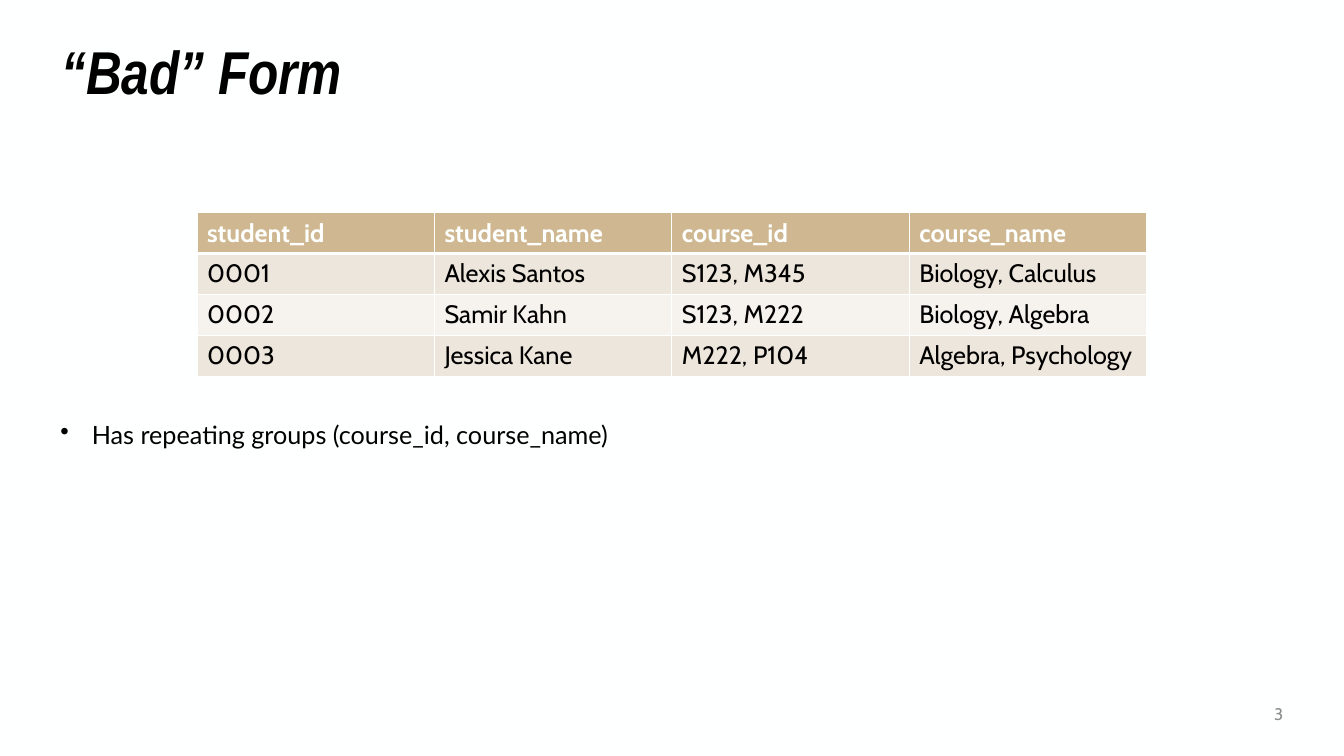
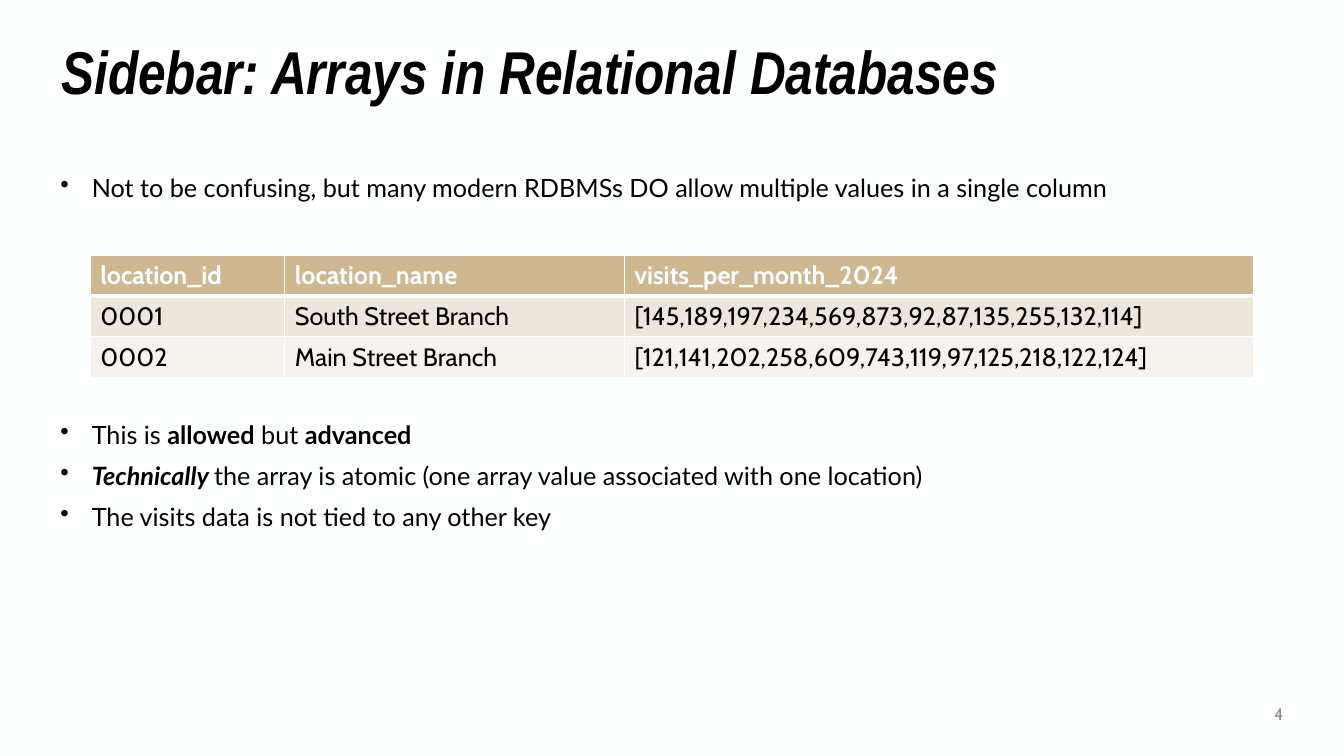
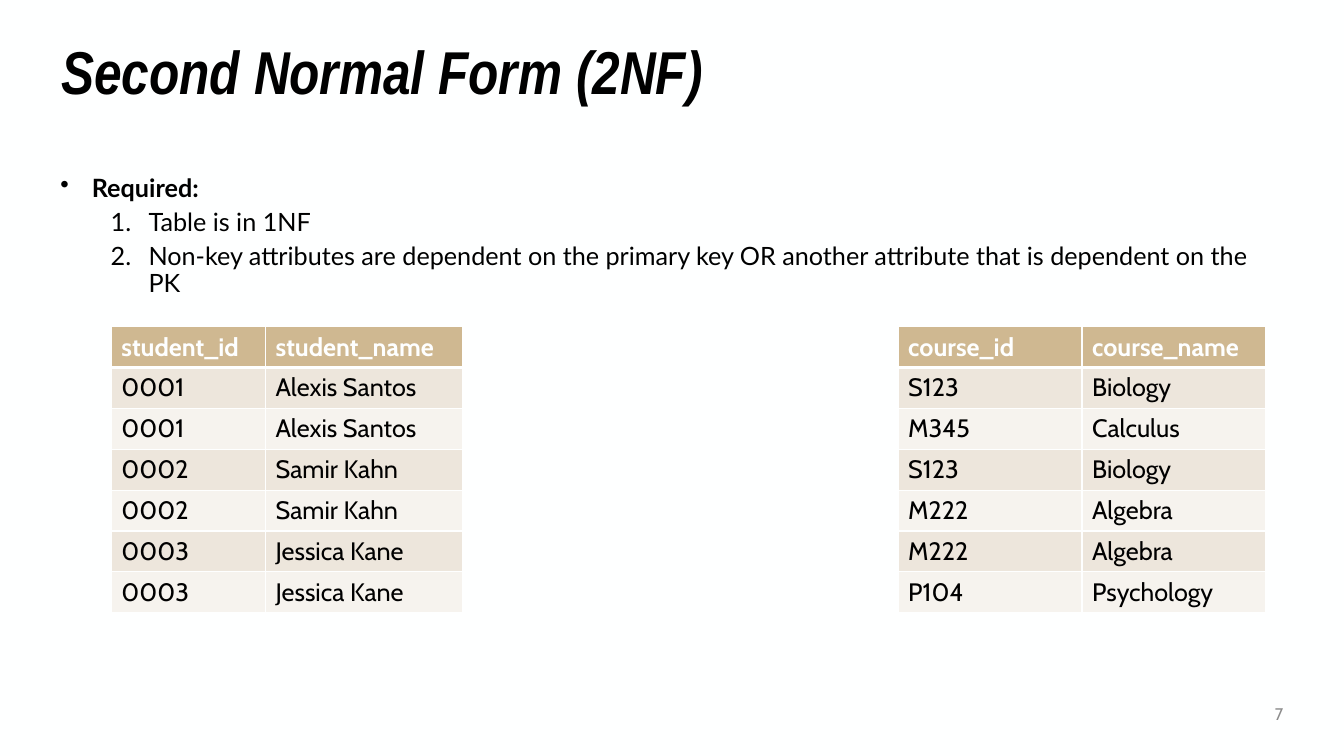
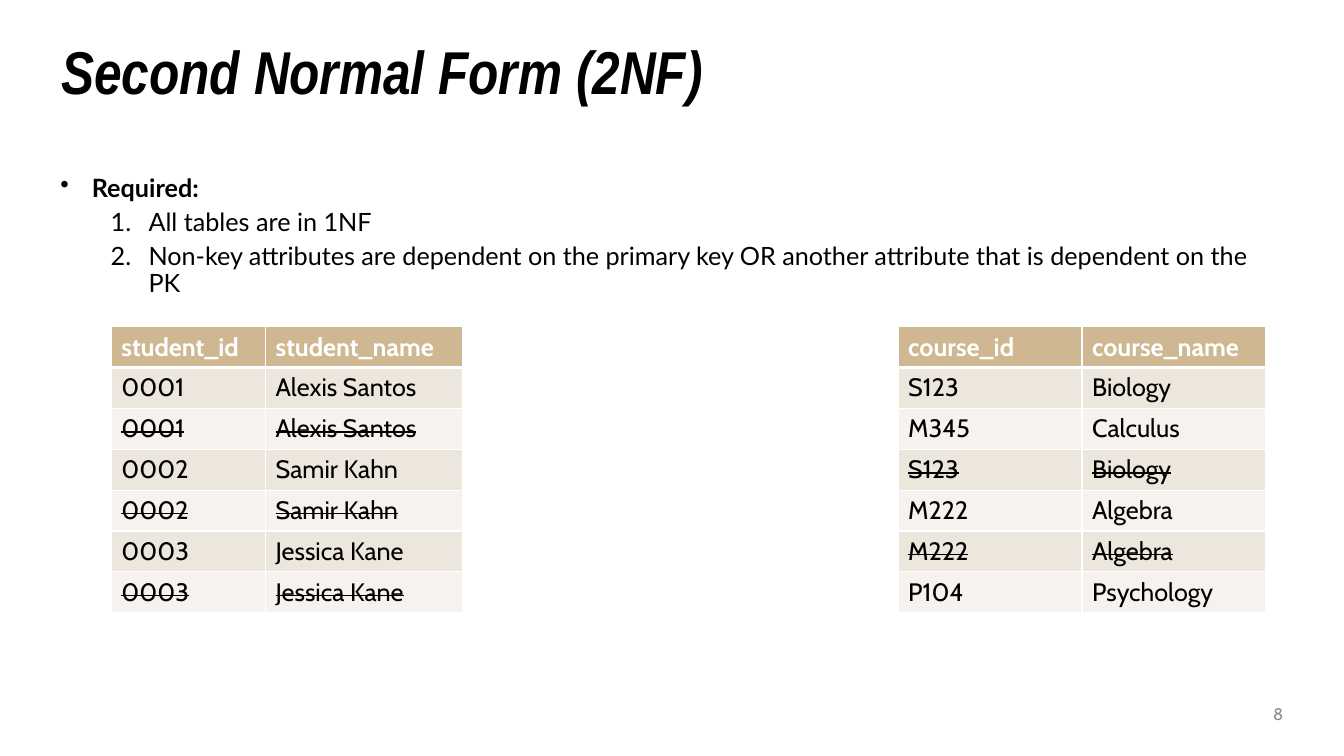
import pptx
import pptx.dml.color
import pptx.enum.text
import pptx.oxml
import pptx.oxml.ns
import pptx.util

Pt = pptx.util.Pt
PP_ALIGN = pptx.enum.text.PP_ALIGN
MIDDLE = pptx.enum.text.MSO_ANCHOR.MIDDLE

COLORS = {
    "paper": "FEFFFF",
    "ink": "000000",
    "page": "8C8C8C",
    "header": "CFB891",
    "odd": "EDE6DC",
    "even": "F6F3EE",
}

deck = pptx.Presentation()
deck.slide_width = pptx.util.Inches(13.333)
deck.slide_height = pptx.util.Inches(7.5)

# Grid: 96 columns by 54 rows of square units
UNIT = deck.slide_height / 54
TITLE_AREA = (3.67, 3.02, 88.7, 4.6)
PAGE_AREA = (83.74, 49.54, 8.64, 2.88)
BODY_LEFT, BODY_WIDTH, BODY_BOTTOM = 3.6, 88.7, 47.23
BODY_TOP, LOWER_TOP = 12.17, 29.81
ROW_HEIGHT = 2.92

# Paragraph levels: left margin, hanging indent, space before, marker
LEVELS = {
    "bullet": (22.5, -22.5, 10, '<a:buChar {} char="•"/>'),
    "number": (63, -27, 5, '<a:buAutoNum {} type="arabicPeriod"/>'),
}
NAMESPACE = pptx.oxml.ns.nsdecls("a")


def style_run(run, font, size, color, bold=False, italic=False):
    run.font.name = font
    run.font.size = Pt(size)
    run.font.color.rgb = pptx.dml.color.RGBColor.from_string(COLORS[color])
    run.font.bold = bold
    run.font.italic = italic


def add_frame(slide, left, top, width, height):
    edges = [round(length * UNIT) for length in (left, top, width, height)]
    frame = slide.shapes.add_textbox(*edges).text_frame
    frame.word_wrap = True
    return frame


# Content: each paragraph is a level and its (text, emphasis) runs
students = [("student_id", "student_name")] + [
    record
    for record in (("0001", "Alexis Santos"), ("0002", "Samir Kahn"), ("0003", "Jessica Kane"))
    for _ in range(2)
]
courses = [
    ("course_id", "course_name"),
    ("S123", "Biology"),
    ("M345", "Calculus"),
    ("S123", "Biology"),
    ("M222", "Algebra"),
    ("M222", "Algebra"),
    ("P104", "Psychology"),
]
enrollments = [
    ("student_id", "student_name", "course_id", "course_name"),
    ("0001", "Alexis Santos", "S123, M345", "Biology, Calculus"),
    ("0002", "Samir Kahn", "S123, M222", "Biology, Algebra"),
    ("0003", "Jessica Kane", "M222, P104", "Algebra, Psychology"),
]
locations = [
    ("location_id", "location_name", "visits_per_month_2024"),
    ("0001", "South Street Branch", "[145,189,197,234,569,873,92,87,135,255,132,114]"),
    ("0002", "Main Street Branch", "[121,141,202,258,609,743,119,97,125,218,122,124]"),
]

# Tables are (left, top, column widths, records)
pages = [
    {
        "number": 3,
        "title": "“Bad” Form",
        "bodies": [(LOWER_TOP, [
            ("bullet", [("Has repeating groups (course_id, course_name)", "")]),
        ])],
        "tables": [(14.07, 15.19, [16.96] * 4, enrollments)],
    },
    {
        "number": 4,
        "title": "Sidebar: Arrays in Relational Databases",
        "bodies": [
            (BODY_TOP, [
                ("bullet", [("Not to be confusing, but many modern RDBMSs DO allow "
                             "multiple values in a single column", "")]),
            ]),
            (LOWER_TOP, [
                ("bullet", [("This is ", ""), ("allowed", "b"),
                            (" but ", ""), ("advanced", "b")]),
                ("bullet", [("Technically ", "bi"),
                            ("the array is atomic (one array value associated "
                             "with one location)", "")]),
                ("bullet", [("The visits data is not tied to any other key", "")]),
            ]),
        ],
        "tables": [(6.45, 18.22, [13.9, 24.26, 44.93], locations)],
    },
]
for number, first_rule, strike_repeats in (
    (7, "Table is in 1NF", False),
    (8, "All tables are in 1NF", True),
):
    pages.append({
        "number": number,
        "title": "Second Normal Form (2NF)",
        "bodies": [(BODY_TOP, [
            ("bullet", [("Required:", "b")]),
            ("number", [(first_rule, "")]),
            ("number", [("Non-key attributes are dependent on the primary key OR "
                         "another attribute that is dependent on the PK", "")]),
        ])],
        "tables": [
            (7.95, 23.33, [11.02, 14.04], students),
            (64.15, 23.33, [13.14] * 2, courses),
        ],
        "strike_repeats": strike_repeats,
    })

for page in pages:
    slide = deck.slides.add_slide(deck.slide_layouts[6])
    slide.background.fill.solid()
    slide.background.fill.fore_color.rgb = pptx.dml.color.RGBColor.from_string(COLORS["paper"])

    # Title
    title = add_frame(slide, *TITLE_AREA)
    title.vertical_anchor = MIDDLE
    title.text = page["title"]
    title.paragraphs[0].line_spacing = 0.9
    style_run(title.paragraphs[0].runs[0], "Arial Narrow", 43.2, "ink", True, True)

    # Body text
    for top, paragraphs in page["bodies"]:
        body = add_frame(slide, BODY_LEFT, top, BODY_WIDTH, BODY_BOTTOM - top)
        for index, (level, pieces) in enumerate(paragraphs):
            paragraph = body.add_paragraph() if index else body.paragraphs[0]
            margin, indent, space, marker = LEVELS[level]
            properties = paragraph._p.get_or_add_pPr()
            properties.set("marL", str(Pt(margin)))
            properties.set("indent", str(Pt(indent)))
            properties.append(pptx.oxml.parse_xml(marker.format(NAMESPACE)))
            paragraph.line_spacing = 0.9
            if index:
                paragraph.space_before = Pt(space)
            for words, emphasis in pieces:
                run = paragraph.add_run()
                run.text = words
                style_run(run, "Lato", 18, "ink", "b" in emphasis, "i" in emphasis)

    # Page number
    folio = add_frame(slide, *PAGE_AREA)
    folio.vertical_anchor = MIDDLE
    folio.text = str(page["number"])
    folio.paragraphs[0].alignment = PP_ALIGN.RIGHT
    style_run(folio.paragraphs[0].runs[0], "Cabin", 12, "page")

    # Tables
    for left, top, widths, records in page["tables"]:
        area = (left, top, sum(widths), ROW_HEIGHT * len(records))
        table = slide.shapes.add_table(
            len(records), len(widths), *[round(length * UNIT) for length in area]
        ).table
        table.horz_banding = False
        for column, width in zip(table.columns, widths):
            column.width = round(width * UNIT)
        for row, record in enumerate(records):
            table.rows[row].height = round(ROW_HEIGHT * UNIT)
            band = "header" if row == 0 else "odd" if row % 2 else "even"
            repeated = page.get("strike_repeats") and record in records[:row]
            for column, value in enumerate(record):
                cell = table.cell(row, column)
                cell.fill.solid()
                cell.fill.fore_color.rgb = pptx.dml.color.RGBColor.from_string(COLORS[band])
                cell.text = value
                run = cell.text_frame.paragraphs[0].runs[0]
                style_run(run, "Cabin", 18, "ink" if row else "paper", row == 0)
                if repeated:
                    run._r.get_or_add_rPr().set("strike", "sngStrike")
                # Thin white borders, thick under the header
                for order, side in enumerate("LRTB"):
                    thick = (row, side) in ((0, "B"), (1, "T"))
                    cell._tc.get_or_add_tcPr().insert(order, pptx.oxml.parse_xml(
                        f'<a:ln{side} {NAMESPACE} w="{Pt(3 if thick else 1)}"><a:solidFill>'
                        f'<a:srgbClr val="{COLORS["paper"]}"/></a:solidFill></a:ln{side}>'
                    ))

deck.save("out.pptx")
